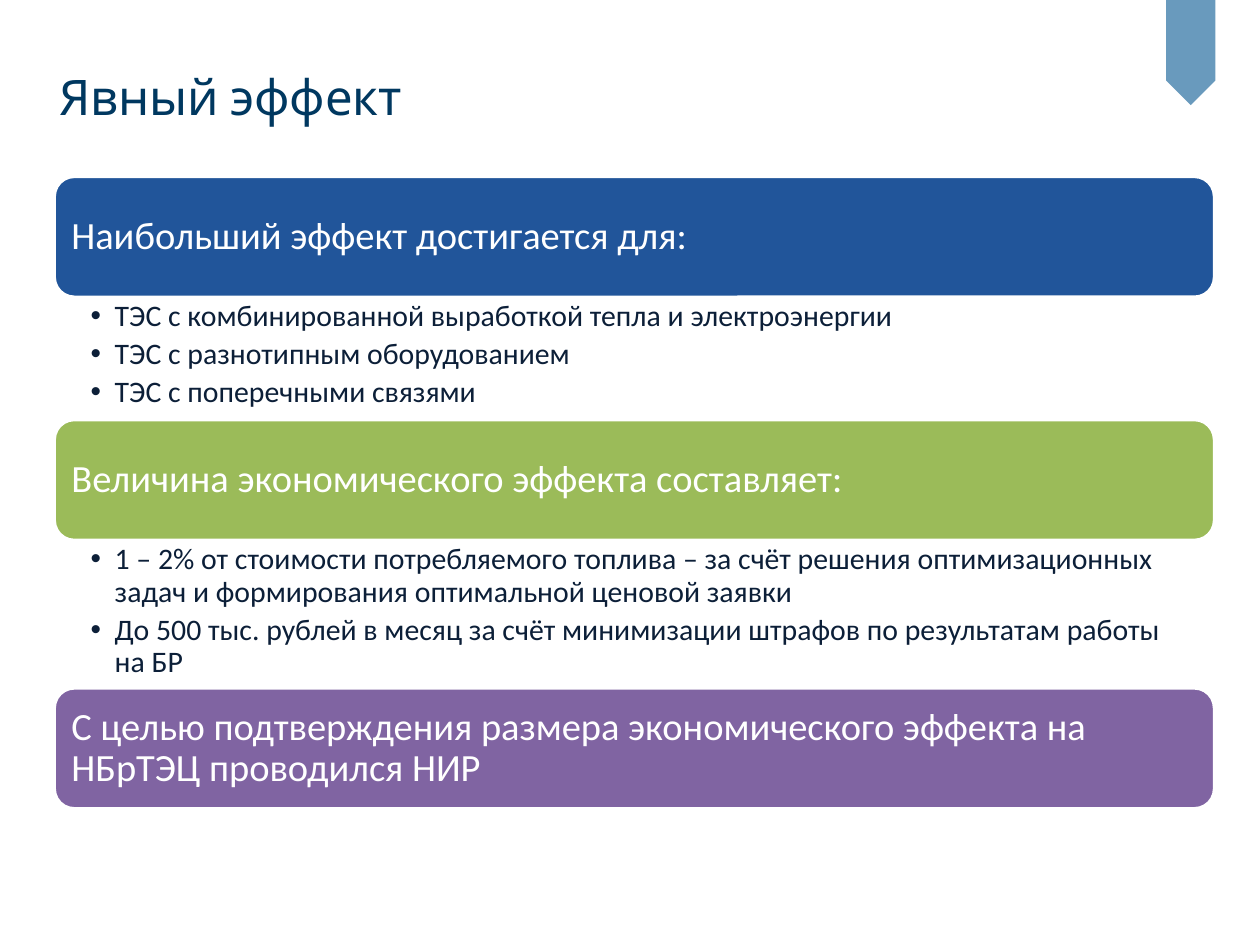
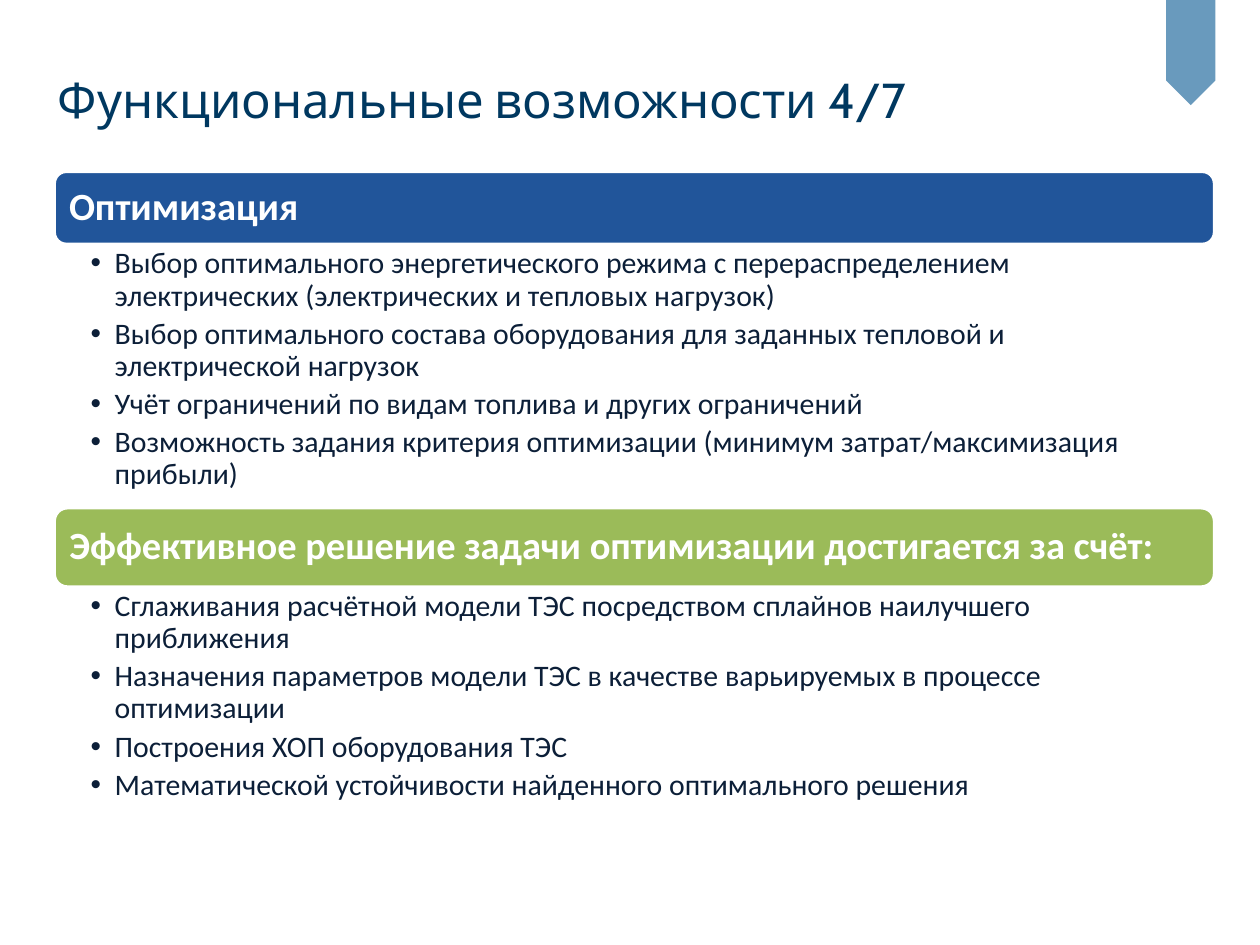
from lxml.etree import SubElement
from pptx import Presentation
from pptx.dml.color import RGBColor
from pptx.enum.shapes import MSO_SHAPE
from pptx.enum.text import MSO_ANCHOR, MSO_AUTO_SIZE, PP_ALIGN
from pptx.oxml.ns import qn
from pptx.util import Inches, Pt

COLORS = {
    "title": "003860", "ribbon": "005490", "body": "0C1F38", "white": "FFFFFF",
    "blue": "21559A", "green": "9BBB59", "purple": "8064A2",
}
LEFT, WIDTH = 0.43, 9.21


def color(name):
    """Return the named palette colour."""
    return RGBColor.from_string(COLORS[name])


def set_frame(tf, margins, anchor):
    """Set wrapping, anchor and left, top, right, bottom margins in inches."""
    tf.word_wrap = True
    tf.auto_size = MSO_AUTO_SIZE.NONE
    tf.vertical_anchor = anchor
    tf.margin_left, tf.margin_top, tf.margin_right, tf.margin_bottom = map(Inches, margins)


def add_run(p, text, font, size, name, bold=None):
    """Add one left-aligned formatted run."""
    p.alignment = PP_ALIGN.LEFT
    r = p.add_run()
    r.text = text
    r.font.name, r.font.size, r.font.bold = font, Pt(size), bold
    r.font.color.rgb = color(name)


def add_ribbon(s):
    """Hang the translucent ribbon from the top edge."""
    sp = s.shapes.add_shape(MSO_SHAPE.PENTAGON, Inches(9.03), Inches(0.22),
                            Inches(0.84), Inches(0.39))
    sp.rotation = 90
    sp.shadow.inherit = False
    sp.fill.solid()
    sp.fill.fore_color.rgb = color("ribbon")
    sp.line.fill.background()
    fill = sp.fill._xPr.find(qn("a:solidFill"))
    SubElement(fill[0], qn("a:alpha"), val="59000")


def add_title(s, text, box):
    """Place and format the title placeholder in the box."""
    sp = s.shapes.title
    sp.left, sp.top, sp.width, sp.height = map(Inches, box)
    set_frame(sp.text_frame, (0.04, 0.05, 0.39, 0.05), MSO_ANCHOR.MIDDLE)
    add_run(sp.text_frame.paragraphs[0], text, "Cabin", 28, "title")


def add_heading(s, text, fill, top, height, bold):
    """Draw a rounded heading band."""
    sp = s.shapes.add_shape(MSO_SHAPE.ROUNDED_RECTANGLE, Inches(LEFT), Inches(top),
                            Inches(WIDTH), Inches(height))
    sp.shadow.inherit = False
    sp.fill.solid()
    sp.fill.fore_color.rgb = color(fill)
    sp.line.color.rgb = color("white")
    sp.line.width = Pt(2)
    set_frame(sp.text_frame, [0.09] * 4, MSO_ANCHOR.MIDDLE)
    p = sp.text_frame.paragraphs[0]
    p.line_spacing = 0.9
    add_run(p, text, "Calibri", 22, "white", bold)


def add_bullets(s, items, top, height):
    """Write a bulleted list below a heading band."""
    tf = s.shapes.add_textbox(Inches(LEFT), Inches(top), Inches(WIDTH),
                              Inches(height)).text_frame
    set_frame(tf, (0.29, 0.03, 0.17, 0.03), MSO_ANCHOR.TOP)
    for i, item in enumerate(items):
        p = tf.add_paragraph() if i else tf.paragraphs[0]
        p.level = 1
        p.line_spacing = 0.9
        p.space_after = Pt(3.4)
        pPr = p._p.get_or_add_pPr()
        pPr.set("marL", str(Inches(0.19)))
        pPr.set("indent", str(Inches(-0.19)))
        SubElement(pPr, qn("a:buFont"), typeface="Arial")
        SubElement(pPr, qn("a:buChar"), char="•")
        add_run(p, item, "Calibri", 17, "body")


def add_list_slide(prs, title, title_box, top, sections, bold=False):
    """Build a slide of headings and lists stacked without gaps."""
    s = prs.slides.add_slide(prs.slide_layouts[5])
    add_ribbon(s)
    add_title(s, title, title_box)
    for heading, fill, band_height, items, list_height in sections:
        add_heading(s, heading, fill, top, band_height, bold)
        top += band_height
        if items:
            add_bullets(s, items, top, list_height)
            top += list_height


def main():
    """Build and save the presentation."""
    prs = Presentation()
    prs.slide_width, prs.slide_height = Inches(10), Inches(7.5)
    add_list_slide(prs, "Явный эффект", (0.43, 0.21, 9.57, 1.1), 1.4, [
        ("Наибольший эффект достигается для:", "blue", 0.96, [
            "ТЭС с комбинированной выработкой тепла и электроэнергии",
            "ТЭС с разнотипным оборудованием",
            "ТЭС с поперечными связями",
        ], 0.97),
        ("Величина экономического эффекта составляет:", "green", 0.96, [
            "1 – 2% от стоимости потребляемого топлива – за счёт решения "
            "оптимизационных задач и формирования оптимальной ценовой заявки",
            "До 500 тыс. рублей в месяц за счёт минимизации штрафов "
            "по результатам работы на БР",
        ], 1.17),
        ("С целью подтверждения размера экономического эффекта на НБрТЭЦ "
         "проводился НИР", "purple", 0.96, [], 0),
    ])
    add_list_slide(prs, "Функциональные возможности 4/7", (0.42, 0.29, 9.61, 0.99), 1.36, [
        ("Оптимизация", "blue", 0.58, [
            "Выбор оптимального энергетического режима с перераспределением "
            "электрических (электрических и тепловых нагрузок)",
            "Выбор оптимального состава оборудования для заданных тепловой и "
            "электрической нагрузок",
            "Учёт ограничений по видам топлива и других ограничений",
            "Возможность задания критерия оптимизации "
            "(минимум затрат/максимизация прибыли)",
        ], 2.09),
        ("Эффективное решение задачи оптимизации достигается за счёт:", "green", 0.63, [
            "Сглаживания расчётной модели ТЭС посредством сплайнов "
            "наилучшего приближения",
            "Назначения параметров модели ТЭС в качестве варьируемых "
            "в процессе оптимизации",
            "Построения ХОП оборудования ТЭС",
            "Математической устойчивости найденного оптимального решения",
        ], 1.79),
    ], bold=True)
    prs.save("out.pptx")


if __name__ == "__main__":
    main()
